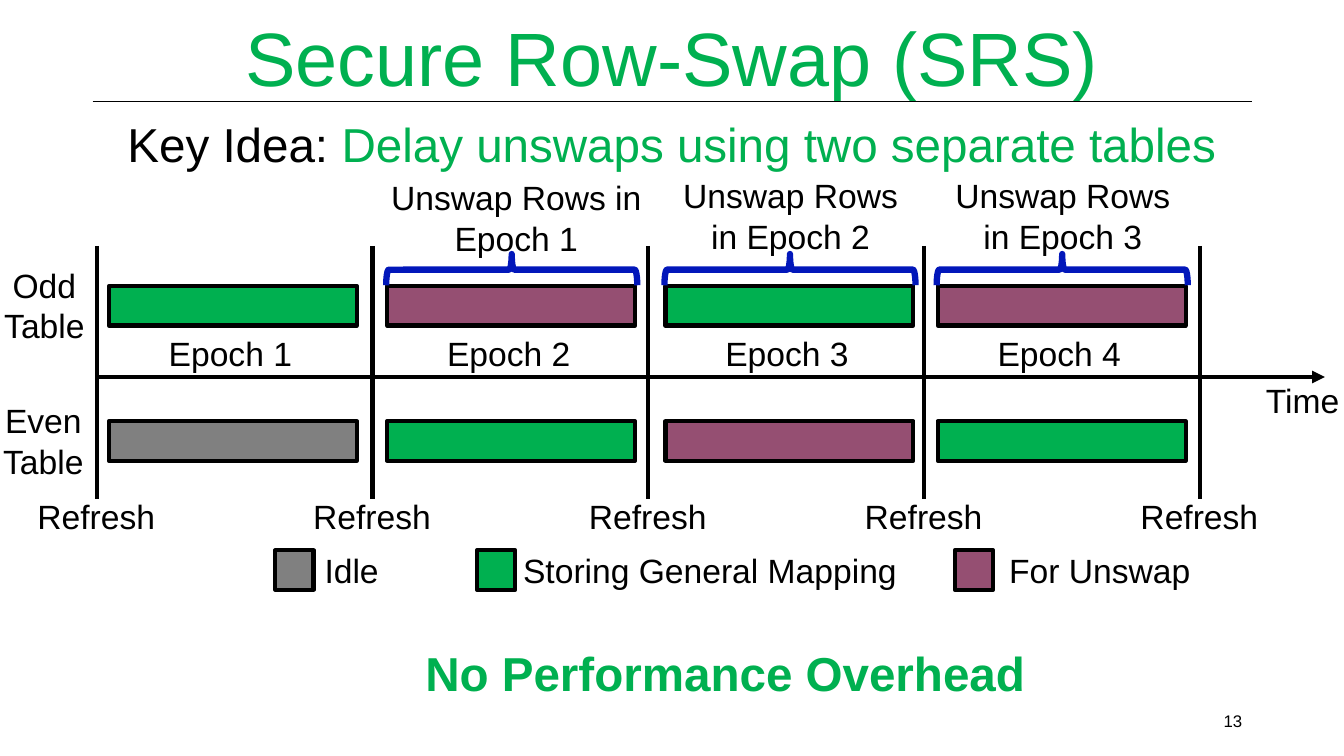
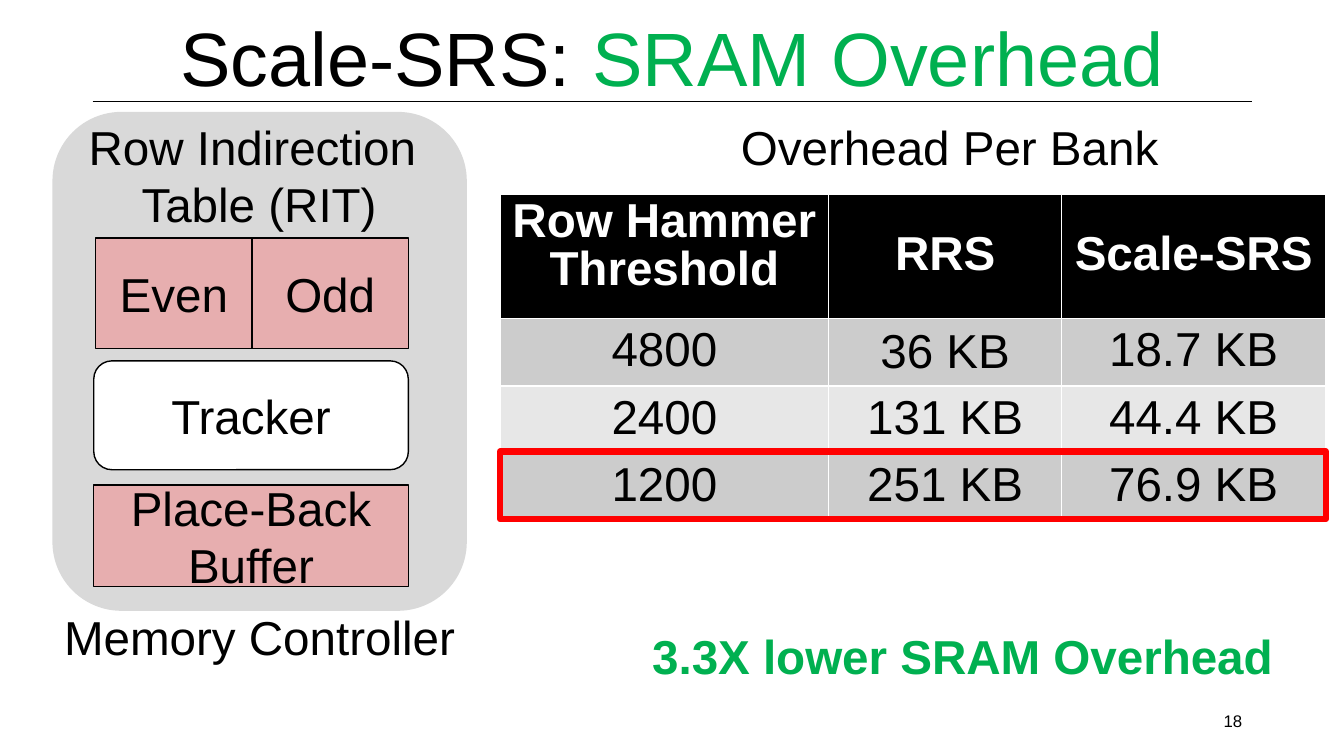
from lxml import etree
from pptx import Presentation
from pptx.dml.color import RGBColor
from pptx.enum.shapes import MSO_CONNECTOR, MSO_SHAPE
from pptx.enum.text import MSO_ANCHOR, MSO_AUTO_SIZE, PP_ALIGN
from pptx.oxml.ns import qn
from pptx.util import Inches, Pt

STRAIGHT = MSO_CONNECTOR.STRAIGHT
RECTANGLE = MSO_SHAPE.RECTANGLE
ROUNDED = MSO_SHAPE.ROUNDED_RECTANGLE
BRACE = MSO_SHAPE.LEFT_BRACE
TOP, MIDDLE = MSO_ANCHOR.TOP, MSO_ANCHOR.MIDDLE
LEFT, CENTER, RIGHT = PP_ALIGN.LEFT, PP_ALIGN.CENTER, PP_ALIGN.RIGHT
NO_AUTOFIT = MSO_AUTO_SIZE.NONE

FONT = "Arial"
COLORS = {
    "black": "000000",
    "white": "FFFFFF",
    "green": "00B050",
    "idle": "808080",
    "unswap": "954F72",
    "brace": "0217BA",
    "panel": "D9D9D9",
    "pink": "E7AEAF",
    "band_dark": "CCCCCC",
    "band_light": "E7E7E7",
    "red": "FF0000",
}


def write(frame, text, size, color="black", bold=False, align=CENTER, anchor=TOP, accent=""):
    frame.word_wrap = True
    frame.vertical_anchor = anchor
    frame.text = text
    paragraph = frame.paragraphs[0]
    paragraph.alignment = align
    if accent:
        paragraph.add_run().text = accent
    for run in paragraph.runs:
        run.font.name = FONT
        run.font.size = Pt(size)
        run.font.bold = bold
        run_color = "green" if run.text == accent else color
        run.font.color.rgb = RGBColor.from_string(COLORS[run_color])
    return paragraph


def add_box(slide, kind, bounds, fill=None, line=None, width=1):
    shape = slide.shapes.add_shape(kind, *map(Inches, bounds))
    shape.shadow.inherit = False
    if fill:
        shape.fill.solid()
        shape.fill.fore_color.rgb = RGBColor.from_string(COLORS[fill])
    else:
        shape.fill.background()
    if line:
        shape.line.color.rgb = RGBColor.from_string(COLORS[line])
        shape.line.width = Pt(width)
    else:
        shape.line.fill.background()
    return shape


presentation = Presentation()
presentation.slide_width = Inches(13.33)
presentation.slide_height = Inches(7.5)
title_only = presentation.slide_layouts.get_by_name("Title Only")

labels = []
lines = []
slides = []
for title, color, accent, number in [
    ("Secure Row-Swap (SRS)", "green", "", "13"),
    ("Scale-SRS: ", "black", "SRAM Overhead", "18"),
]:
    slide = presentation.slides.add_slide(title_only)
    slides.append(slide)
    heading = slide.shapes.title
    heading.left, heading.top, heading.width, heading.height = map(Inches, (0, 0.23, 13.33, 0.78))
    heading.text_frame.auto_size = NO_AUTOFIT
    paragraph = write(heading.text_frame, title, 54, color, anchor=MIDDLE, accent=accent)
    paragraph.line_spacing = 0.9
    lines.append((slide, (0.92, 1.01, 12.42, 1.01), 0.5, False))
    labels.append((slide, (9.42, 6.95, 3, 0.4), number, 12, {"align": RIGHT, "anchor": MIDDLE}))

timeline, overhead = slides
takeaway = {"color": "green", "bold": True, "align": LEFT}

lines.append((timeline, (0.96, 3.74, 13.14, 3.74), 3, True))
for index in range(5):
    tick = 0.96 + 2.735 * index
    lines.append((timeline, (tick, 2.44, tick, 4.95), 3, False))
    labels.append((timeline, (tick - 0.73, 4.87, 1.45, 0.5), "Refresh", 24, {}))

epochs = [
    (1.08, "green", "idle", None),
    (3.84, "unswap", "green", (3.77, 1.71, 2.7, 0.91)),
    (6.6, "green", "unswap", (6.53, 1.69, 2.62, 0.91)),
    (9.3, "unswap", "green", (9.23, 1.69, 2.62, 0.91)),
]
for number, (left, odd, even, note) in enumerate(epochs, 1):
    for top, fill in ((2.84, odd), (4.18, even)):
        add_box(timeline, RECTANGLE, (left, top, 2.46, 0.39), fill, "black", 3)
    labels.append((timeline, (left + 0.48, 3.25, 1.45, 0.5), f"Epoch {number}", 24, {}))
    if note:
        brace = add_box(timeline, BRACE, (left + 1.08, 1.43, 0.31, 2.49), None, "brace", 4.5)
        brace.rotation = 90
        labels.append((timeline, note, f"Unswap Rows in Epoch {number - 1}", 24, {}))

for box_left, text_left, width, text, fill in [
    (2.73, 3.12, 0.78, "Idle", "idle"),
    (4.73, 5.09, 3.97, "Storing General Mapping", "green"),
    (9.47, 9.91, 2.11, "For Unswap", "unswap"),
]:
    add_box(timeline, RECTANGLE, (box_left, 5.46, 0.38, 0.39), fill, "black", 3)
    labels.append((timeline, (text_left, 5.41, width, 0.5), text, 24, {"align": LEFT}))

labels += [
    (timeline, (0.09, 1.09, 13.15, 0.67), "Key Idea: ", 34,
     {"accent": "Delay unswaps using two separate tables"}),
    (timeline, (-0.2, 2.58, 1.28, 0.91), "Odd Table", 24, {}),
    (timeline, (-0.07, 3.92, 1, 0.91), "Even Table", 24, {}),
    (timeline, (12.43, 3.72, 0.98, 0.5), "Time", 24, {}),
    (timeline, (4.12, 6.34, 6.29, 0.67), "No Performance Overhead", 34, takeaway),
    (overhead, (0.52, 5.98, 4.11, 0.67), "Memory Controller", 34, {}),
    (overhead, (0.18, 1.22, 4.78, 1.03), "Row Indirection \vTable (RIT)", 34, {"anchor": MIDDLE}),
    (overhead, (7.18, 1.12, 4.48, 0.67), "Overhead Per Bank", 34, {}),
    (overhead, (6.37, 6.17, 6.44, 0.67), "3.3X lower SRAM Overhead", 34, takeaway),
]

add_box(overhead, ROUNDED, (0.52, 1.11, 4.11, 4.95), "panel")
for kind, bounds, fill, text in [
    (RECTANGLE, (0.95, 2.36, 1.55, 1.1), "pink", "Even"),
    (RECTANGLE, (2.5, 2.36, 1.55, 1.1), "pink", "Odd"),
    (ROUNDED, (0.93, 3.58, 3.12, 1.08), "white", "Tracker"),
    (RECTANGLE, (0.93, 4.81, 3.12, 1.01), "pink", "Place-Back Buffer"),
]:
    block = add_box(overhead, kind, bounds, fill, "black")
    write(block.text_frame, text, 34, anchor=MIDDLE)

rows = [
    ("Row Hammer Threshold", "RRS", "Scale-SRS"),
    ("4800", "36 KB", "18.7 KB"),
    ("2400", "131 KB", "44.4 KB"),
    ("1200", "251 KB", "76.9 KB"),
]
row_fills = ["black", "band_dark", "band_light", "band_dark"]
table = overhead.shapes.add_table(4, 3, *map(Inches, (4.96, 1.93, 8.19, 3.24))).table
for column, width in zip(table.columns, (3.26, 2.31, 2.62)):
    column.width = Inches(width)
for row, height in zip(table.rows, (1.23, 0.67, 0.67, 0.67)):
    row.height = Inches(height)
for row_index, values in enumerate(rows):
    header = row_index == 0
    for column_index, value in enumerate(values):
        cell = table.cell(row_index, column_index)
        cell.fill.solid()
        cell.fill.fore_color.rgb = RGBColor.from_string(COLORS[row_fills[row_index]])
        paragraph = write(cell.text_frame, value, 34, "white" if header else "black", header)
        if header:
            paragraph.line_spacing = 0.9
        centered = (header and column_index > 0) or (row_index, column_index) == (1, 1)
        cell.vertical_anchor = MIDDLE if centered else TOP
add_box(overhead, RECTANGLE, (4.96, 4.48, 8.19, 0.67), None, "red", 4.5)

for slide, ends, width, arrow in lines:
    connector = slide.shapes.add_connector(STRAIGHT, *map(Inches, ends))
    connector.line.color.rgb = RGBColor.from_string(COLORS["black"])
    connector.line.width = Pt(width)
    properties = connector.element.spPr
    etree.SubElement(properties, qn("a:effectLst"))
    if arrow:
        etree.SubElement(properties.find(qn("a:ln")), qn("a:tailEnd"), type="triangle")

for slide, bounds, text, size, options in labels:
    label = slide.shapes.add_textbox(*map(Inches, bounds))
    write(label.text_frame, text, size, **options)

presentation.save("out.pptx")
